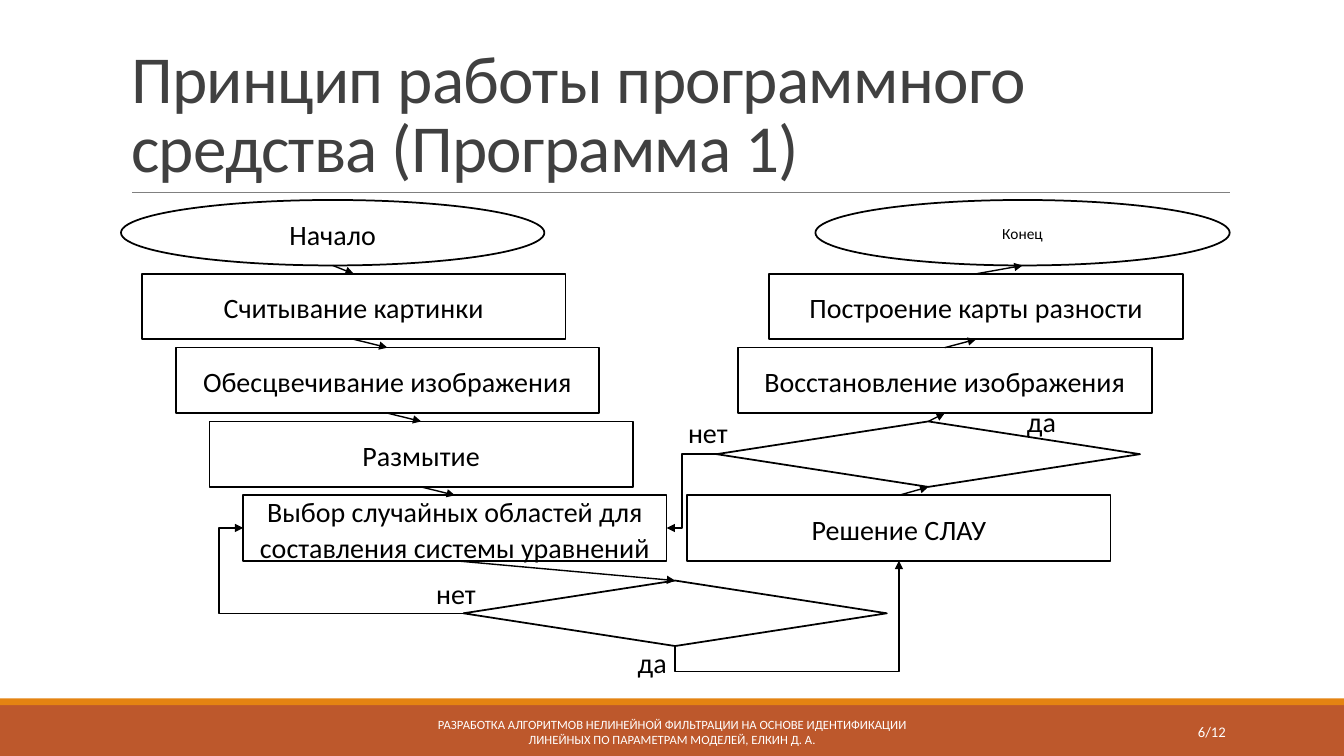
from dataclasses import dataclass

from pptx import Presentation
from pptx.dml.color import RGBColor
from pptx.enum.shapes import MSO_AUTO_SHAPE_TYPE, MSO_CONNECTOR, MSO_SHAPE
from pptx.enum.text import MSO_ANCHOR, MSO_AUTO_SIZE, PP_ALIGN
from pptx.oxml.ns import qn
from pptx.util import Cm, Pt
from lxml.etree import SubElement


@dataclass(frozen=True)
class Theme:
    font: str = "Calibri"
    paper: RGBColor = RGBColor(0xFF, 0xFF, 0xFF)
    ink: RGBColor = RGBColor(0, 0, 0)
    heading: RGBColor = RGBColor(0x40, 0x40, 0x40)
    rule: RGBColor = RGBColor(0x80, 0x80, 0x80)
    band: RGBColor = RGBColor(0xBD, 0x58, 0x2C)
    stripe: RGBColor = RGBColor(0xE4, 0x83, 0x12)
    title_size: Pt = Pt(48)
    step_size: Pt = Pt(20)
    end_size: Pt = Pt(11)
    number_size: Pt = Pt(10.5)
    footer_size: Pt = Pt(9)


THEME = Theme()
TOP, LEFT, BOTTOM, RIGHT = range(4)


def write(frame, text, size, color, align=PP_ALIGN.LEFT, anchor=MSO_ANCHOR.TOP):
    frame.text = text
    frame.vertical_anchor = anchor
    paragraph = frame.paragraphs[0]
    paragraph.alignment = align
    font = paragraph.runs[0].font
    font.name, font.size, font.color.rgb = THEME.font, size, color
    return paragraph


def block(slide, kind, left, top, width, height, fill, outline=None):
    shape = slide.shapes.add_shape(kind, left, top, width, height)
    shape.shadow.inherit = False
    shape.fill.solid()
    shape.fill.fore_color.rgb = fill
    if outline is None:
        shape.line.fill.background()
    else:
        shape.line.color.rgb = outline
        shape.line.width = Pt(1.25)
    return shape


def connector(slide, kind, begin, end, color, width, arrow=False):
    link = slide.shapes.add_connector(kind, *begin, *end)
    link.line.color.rgb = color
    link.line.width = width
    properties = link.element.spPr
    if arrow:
        SubElement(properties.find(qn("a:ln")), qn("a:tailEnd"), type="triangle")
    SubElement(properties, qn("a:effectLst"))
    return link


def side_point(shape, side):
    middle_x = shape.left + shape.width // 2
    middle_y = shape.top + shape.height // 2
    return {
        TOP: (middle_x, shape.top),
        LEFT: (shape.left, middle_y),
        BOTTOM: (middle_x, shape.top + shape.height),
        RIGHT: (shape.left + shape.width, middle_y),
    }[side]


def straight_arrow(slide, source, source_side, target, target_side):
    link = connector(slide, MSO_CONNECTOR.STRAIGHT, side_point(source, source_side),
                     side_point(target, target_side), THEME.ink, Pt(1), arrow=True)
    if source.auto_shape_type != MSO_AUTO_SHAPE_TYPE.OVAL:
        link.begin_connect(source, source_side)
    if target.auto_shape_type != MSO_AUTO_SHAPE_TYPE.OVAL:
        link.end_connect(target, target_side)


def elbow_arrow(slide, begin, end, bend, upright=False):
    if upright:
        center_x, center_y = (begin[0] + end[0]) // 2, (begin[1] + end[1]) // 2
        half_x, half_y = (end[0] - begin[0]) // 2, (begin[1] - end[1]) // 2
        begin = center_x + half_y, center_y + half_x
        end = center_x - half_y, center_y - half_x
    link = connector(slide, MSO_CONNECTOR.ELBOW, begin, end, THEME.ink, Pt(1), arrow=True)
    properties = link.element.spPr
    if upright:
        properties.find(qn("a:xfrm")).set("rot", "5400000")
    guides = properties.find(qn("a:prstGeom")).get_or_add_avLst()
    SubElement(guides, qn("a:gd"), name="adj1", fmla=f"val {round(bend * 100000)}")


def add_title(slide, left, top, width, height):
    title = slide.shapes.title
    title.left, title.top, title.width, title.height = left, top, width, height
    frame = title.text_frame
    frame.word_wrap = True
    frame.auto_size = MSO_AUTO_SIZE.NONE
    paragraph = write(frame, "Принцип работы программного средства (Программа 1)",
                      THEME.title_size, THEME.heading, anchor=MSO_ANCHOR.BOTTOM)
    paragraph.line_spacing = 0.85
    paragraph.runs[0].font._element.set("spc", "-50")
    rule_y = top + height + Cm(0.02)
    connector(slide, MSO_CONNECTOR.STRAIGHT, (left + Cm(0.28), rule_y),
              (left + width, rule_y), THEME.rule, Pt(0.5))


def add_footer(slide, left, top, width, height):
    stripe_height = Cm(0.17)
    block(slide, MSO_SHAPE.RECTANGLE, left, top + stripe_height, width,
          height - stripe_height, THEME.band)
    block(slide, MSO_SHAPE.RECTANGLE, left, top, width, stripe_height, THEME.stripe)
    topic = ("РАЗРАБОТКА АЛГОРИТМОВ НЕЛИНЕЙНОЙ ФИЛЬТРАЦИИ НА ОСНОВЕ ИДЕНТИФИКАЦИИ "
             "ЛИНЕЙНЫХ ПО ПАРАМЕТРАМ МОДЕЛЕЙ, ЕЛКИН Д. А.")
    for text, x, span, size, align in (
        ("6/12", Cm(27.51), Cm(3.63), THEME.number_size, PP_ALIGN.RIGHT),
        (topic, Cm(10.24), Cm(13.39), THEME.footer_size, PP_ALIGN.CENTER),
    ):
        note = slide.shapes.add_textbox(left + x, top + Cm(0.33), span, Cm(1.02))
        note.text_frame.word_wrap = True
        write(note.text_frame, text, size, THEME.paper, align, MSO_ANCHOR.MIDDLE)


def add_flowchart(slide, left, top):
    pitch, height, wide, narrow = Cm(1.86), Cm(1.65), Cm(10.67), Cm(10.44)
    oval, box, diamond = MSO_SHAPE.OVAL, MSO_SHAPE.RECTANGLE, MSO_SHAPE.DIAMOND

    def step(kind, text, x, y, width, size=THEME.step_size):
        shape = block(slide, kind, left + x, top + y, width, height, THEME.paper, THEME.ink)
        if text:
            paragraph = write(shape.text_frame, text, size, THEME.ink,
                              PP_ALIGN.CENTER, MSO_ANCHOR.MIDDLE)
            paragraph.line_spacing = 1.07
            paragraph.space_after = Pt(8)
        return shape

    descent = [step(oval, "Начало", 0, 0, wide)]
    for row, text in enumerate((
        "Считывание картинки",
        "Обесцвечивание изображения",
        "Размытие",
        "Выбор случайных областей для составления системы уравнений",
    )):
        descent.append(step(box, text, Cm(0.53 + 0.85 * row), pitch * (row + 1), wide))
    area_check = step(diamond, "", Cm(8.63), Cm(9.59), wide)
    descent.append(area_check)

    ascent = [
        step(kind, text, Cm(x), pitch * row, width, size)
        for row, kind, text, x, width, size in (
            (4, box, "Решение СЛАУ", 14.27, wide, THEME.step_size),
            (3, diamond, "", 15.01, wide, THEME.step_size),
            (2, box, "Восстановление изображения", 15.54, narrow, THEME.step_size),
            (1, box, "Построение карты разности", 16.33, narrow, THEME.step_size),
            (0, oval, "Конец", 17.5, narrow, THEME.end_size),
        )
    ]
    for source, target in zip(descent, descent[1:]):
        straight_arrow(slide, source, BOTTOM, target, TOP)
    for source, target in zip(ascent, ascent[1:]):
        straight_arrow(slide, source, TOP, target, BOTTOM)

    selection, (solution, solution_check) = descent[4], ascent[:2]
    elbow_arrow(slide, side_point(area_check, LEFT), side_point(selection, LEFT), 1.11)
    elbow_arrow(slide, side_point(solution_check, LEFT), side_point(selection, RIGHT), 0.69)
    elbow_arrow(slide, side_point(area_check, BOTTOM), side_point(solution, BOTTOM),
                -0.3, upright=True)

    for answer, x, y, width in (
        ("нет", 7.69, 9.36, 1.52),
        ("нет", 14.04, 5.3, 1.52),
        ("да", 22.58, 5.02, 1.24),
        ("да", 12.77, 11.11, 1.24),
    ):
        label = slide.shapes.add_textbox(left + Cm(x), top + Cm(y), Cm(width), Cm(1.12))
        label.text_frame.word_wrap = False
        write(label.text_frame, answer, THEME.step_size, THEME.ink)


def main():
    deck = Presentation()
    deck.slide_width, deck.slide_height = Cm(33.87), Cm(19.05)
    slide = deck.slides.add_slide(deck.slide_layouts[5])
    add_footer(slide, 0, Cm(17.6), deck.slide_width, Cm(1.45))
    add_title(slide, Cm(3.05), Cm(0.79), Cm(27.94), Cm(4.03))
    add_flowchart(slide, Cm(3.05), Cm(5.04))
    deck.save("out.pptx")


if __name__ == "__main__":
    main()
